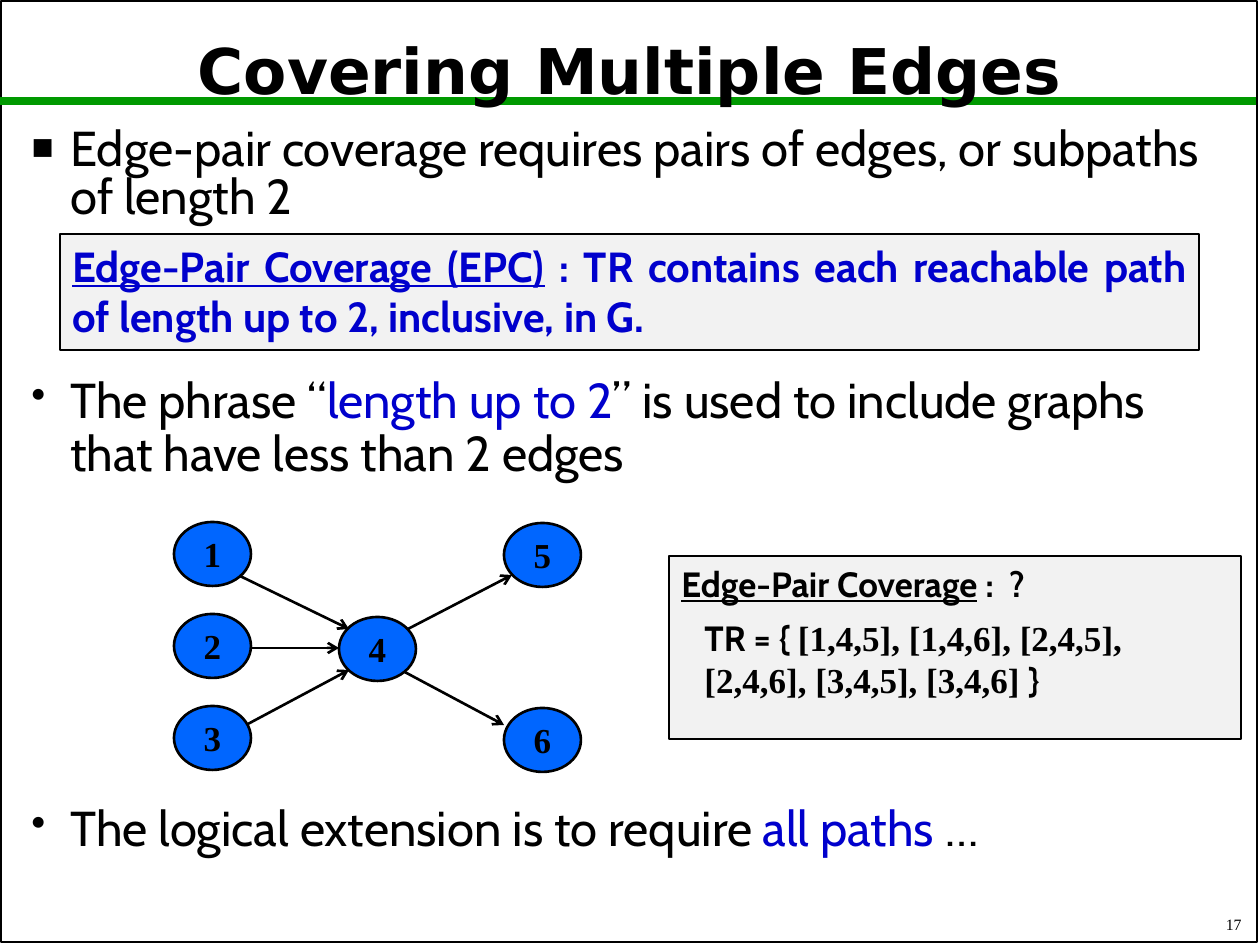
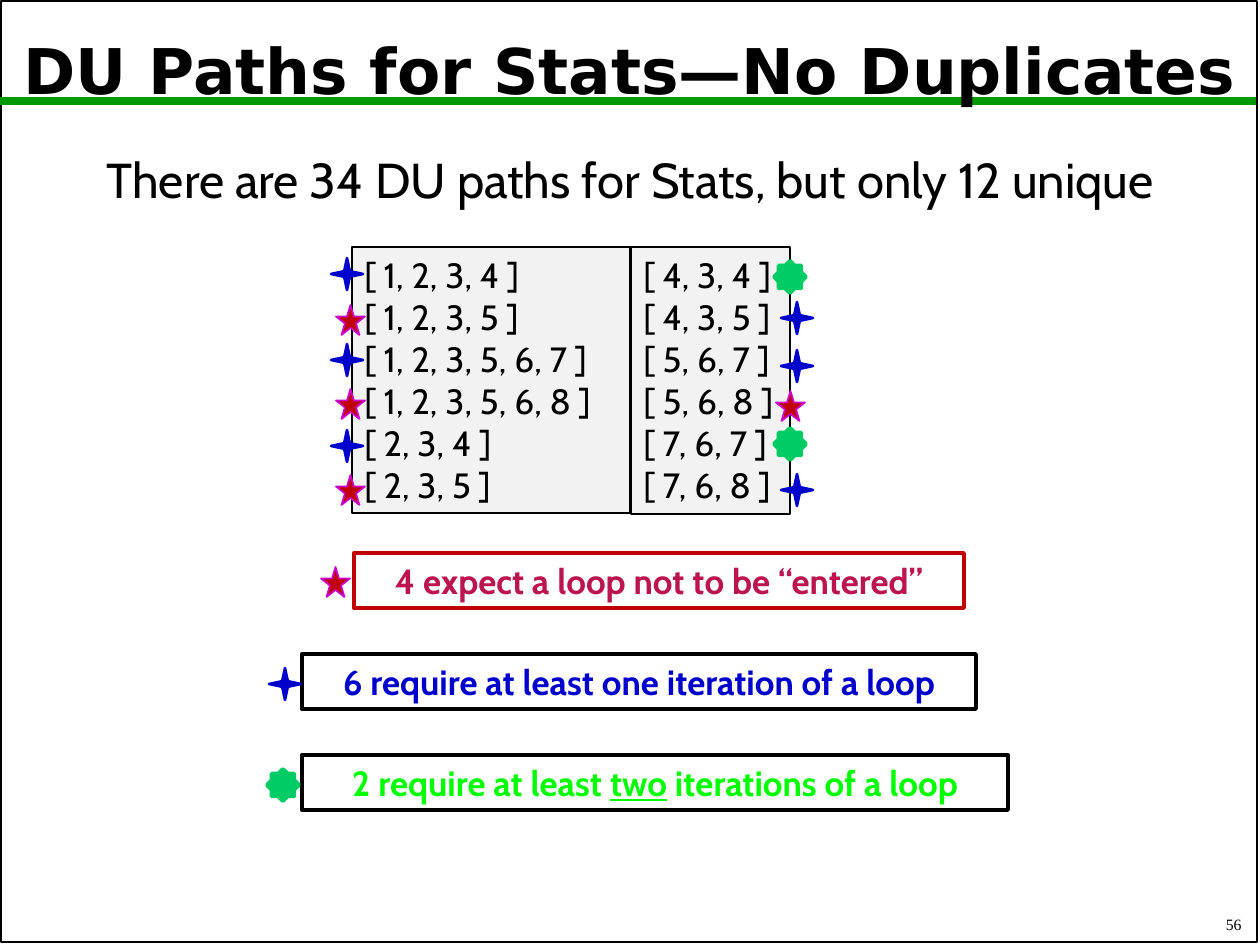
from lxml import etree
from pptx import Presentation
from pptx import util as u
from pptx.dml.color import RGBColor
from pptx.enum import shapes, text
from pptx.oxml.ns import qn

SCALE = 914400 / 126
BLACK, WHITE, PALE = "000000", "FFFFFF", "F2F2F2"
BLUE, GREEN, RED = "0000CC", "009900", "C00000"
TITLE_FONT, BODY_FONT, NUMBER_FONT = "DejaVu Sans", "Cabin", "Times New Roman"
LEFT, CENTER = text.PP_ALIGN.LEFT, text.PP_ALIGN.CENTER
RIGHT, JUSTIFY = text.PP_ALIGN.RIGHT, text.PP_ALIGN.JUSTIFY
TOP, MIDDLE, BOTTOM = text.MSO_ANCHOR.TOP, text.MSO_ANCHOR.MIDDLE, text.MSO_ANCHOR.BOTTOM
RECT, OVAL = shapes.MSO_SHAPE.RECTANGLE, shapes.MSO_SHAPE.OVAL

MARKS = {
    "skip": (shapes.MSO_SHAPE.STAR_5_POINT, 29, 30, RED, "CC00CC", 1),
    "once": (shapes.MSO_SHAPE.STAR_4_POINT, 32, 32, BLUE, BLUE, 1.5),
    "twice": (shapes.MSO_SHAPE.STAR_8_POINT, 32, 32, "00CC66", "00CC66", 2.25),
}
MARK_ADJUSTMENTS = {"once": 0.125, "twice": 0.383}


def px(length):
    return u.Emu(round(length * SCALE))


def color(value):
    return RGBColor.from_string(value)


def place(shape, box):
    shape.left, shape.top, shape.width, shape.height = map(px, box)


def write(shape, paragraphs, size, font=BODY_FONT, ink=BLACK, bold=False,
          align=LEFT, anchor=TOP, spacing=1.0, wrap=True):
    frame = shape.text_frame
    frame.auto_size = text.MSO_AUTO_SIZE.NONE
    frame.word_wrap = wrap
    frame.vertical_anchor = anchor
    for index, spans in enumerate(paragraphs):
        para = frame.paragraphs[0] if index == 0 else frame.add_paragraph()
        para.alignment = align
        para.line_spacing = spacing
        para.space_before = u.Pt(0)
        for words, changes in spans:
            span = para.add_run()
            span.text = words
            span.font.size = u.Pt(size)
            span.font.bold = bold
            span.font.name = changes.get("font", font)
            span.font.underline = changes.get("underline", False)
            span.font.color.rgb = color(changes.get("ink", ink))


def plain(words):
    return [(words, {})]


def add_text(page, box, paragraphs, size, **style):
    shape = page.shapes.add_textbox(*map(px, box))
    write(shape, paragraphs, size, **style)
    return shape


def add_figure(page, kind, box, fill, line, weight):
    shape = page.shapes.add_shape(kind, *map(px, box))
    shape.shadow.inherit = False
    if fill:
        shape.fill.solid()
        shape.fill.fore_color.rgb = color(fill)
    else:
        shape.fill.background()
    shape.line.color.rgb = color(line)
    shape.line.width = u.Pt(weight)
    return shape


def add_line(page, start, end, ink, weight, arrow=False):
    line = page.shapes.add_connector(
        shapes.MSO_CONNECTOR.STRAIGHT, *map(px, (*start, *end)))
    line.line.color.rgb = color(ink)
    line.line.width = u.Pt(weight)
    if arrow:
        etree.SubElement(line.line._get_or_add_ln(), qn("a:tailEnd"), type="arrow")
    etree.SubElement(line._element.spPr, qn("a:effectLst"))


def set_bullet(para, symbol=None, percent=85):
    props = para._p.get_or_add_pPr()
    props.set("marL", str(px(39)))
    props.set("indent", str(-px(39)))
    if symbol:
        etree.SubElement(props, qn("a:buSzPct"), val=str(percent * 1000))
        etree.SubElement(props, qn("a:buChar"), char=symbol)
    else:
        etree.SubElement(props, qn("a:buNone"))


def add_page(deck, title, number):
    page = deck.slides.add_slide(deck.slide_layouts[1])
    add_figure(page, RECT, (1, 1, 1256, 941), None, BLACK, 1)
    add_line(page, (0, 101), (1256, 101), GREEN, 4.5)
    add_text(page, (992, 903, 262, 37), [plain(number)], 9,
             font=NUMBER_FONT, align=RIGHT, anchor=BOTTOM)
    heading = page.shapes.title
    place(heading, (6, 14, 1247, 120))
    write(heading, [plain(title)], 36, font=TITLE_FONT, bold=True,
          align=CENTER, anchor=MIDDLE, spacing=0.9)
    tree = page.shapes._spTree
    for holder in list(page.placeholders):
        tree.append(holder._element)
    return page


def fill_body(page, box, words, symbol=None, **style):
    body = page.placeholders[1]
    place(body, box)
    set_bullet(body.text_frame.paragraphs[0], symbol, 75)
    write(body, [plain(words)], 28, **style)


def add_point(page, top, height, spans):
    point = page.shapes.add_textbox(*map(px, (19, top, 1222, height)))
    set_bullet(point.text_frame.paragraphs[0], "•")
    write(point, [spans], 28, spacing=0.9)


def draw_graph(page, left, top):
    nodes = {"1": (0, 0), "2": (0, 92), "3": (0, 184),
             "4": (165, 95), "5": (330, 1), "6": (330, 186)}
    edges = [((64, 53), (175, 107)), ((77, 126), (165, 126)),
             ((72, 203), (175, 148)), ((234, 107), (338, 53)),
             ((227, 148), (330, 203))]
    for start, end in edges:
        add_line(page, (left + start[0], top + start[1]),
                 (left + end[0], top + end[1]), BLACK, 1.5, arrow=True)
    for label, (x, y) in nodes.items():
        node = add_figure(page, OVAL, (left + x, top + y, 77, 64),
                          "0066FF", BLACK, 1.5)
        write(node, [plain(label)], 20, font=NUMBER_FONT, bold=True,
              align=CENTER, anchor=MIDDLE, wrap=False)


def draw_answer(page, left, top):
    panel = add_figure(page, RECT, (left, top, 572, 183), PALE, BLACK, 1)
    write(panel, [[("Edge-Pair Coverage", {"underline": True}), (" :  ?", {})]],
          20, bold=True)
    paths = "[1,4,5], [1,4,6], [2,4,5], [2,4,6], [3,4,5], [3,4,6] "
    add_text(page, (left + 23, top + 54, 508, 97),
             [[("TR = { ", {}), (paths, {"font": NUMBER_FONT}), ("}", {})]],
             20, bold=True)


def build_edges_page(deck):
    page = add_page(deck, "Covering Multiple Edges", "17")
    fill_body(page, (19, 123, 1222, 92),
              "Edge-pair coverage requires pairs of edges, or subpaths of length 2",
              "■", spacing=0.8)
    definition = add_figure(page, RECT, (60, 234, 1139, 116), PALE, BLACK, 1.5)
    write(definition, [[
        ("Edge-Pair Coverage (EPC)", {"underline": True}),
        (" : TR contains each reachable path of length up to 2, inclusive, in G.", {}),
    ]], 24, ink=BLUE, bold=True, align=JUSTIFY)
    add_point(page, 370, 105, [
        ("The phrase “", {}), ("length up to 2", {"ink": BLUE}),
        ("” is used to include graphs that have less than 2 edges", {})])
    add_point(page, 798, 60, [
        ("The logical extension is to require ", {}),
        ("all paths ", {"ink": BLUE}), ("…", {})])
    draw_graph(page, 174, 522)
    draw_answer(page, 669, 556)


def add_mark(page, name, left, top):
    kind, width, height, fill, line, weight = MARKS[name]
    mark = add_figure(page, kind, (left, top, width, height), fill, line, weight)
    if name in MARK_ADJUSTMENTS:
        mark.adjustments[0] = MARK_ADJUSTMENTS[name]


def draw_paths(page, box, rows, mark_lefts):
    left, top = box[:2]
    column = add_figure(page, RECT, box, PALE, BLACK, 1)
    write(column, [plain(path) for path, _, _ in rows], 20)
    for _, name, offset in rows:
        add_mark(page, name, left + mark_lefts[name], top + offset)


def draw_legend(page, top, step):
    entries = [
        ("skip", 354, 610, RED, "BC1450", -33,
         plain("4 expect a loop not to be “entered”")),
        ("once", 302, 674, BLACK, BLUE, -33,
         plain("6 require at least one iteration of a loop")),
        ("twice", 302, 706, BLACK, "00FF00", -35,
         [("2 require at least ", {}), ("two", {"underline": True}),
          (" iterations of a loop", {})]),
    ]
    for index, (name, left, width, line, ink, offset, spans) in enumerate(entries):
        y = top + index * step
        label = add_figure(page, RECT, (left, y, width, 55), WHITE, line, 2.25)
        write(label, [spans], 20, ink=ink, bold=True, align=CENTER)
        add_mark(page, name, left + offset, y + 14)


def build_stats_page(deck):
    page = add_page(deck, "DU Paths for Stats—No Duplicates", "56")
    fill_body(page, (19, 150, 1222, 81),
              "There are 34 DU paths for Stats, but only 12 unique",
              align=CENTER, spacing=0.9)
    draw_paths(page, (352, 247, 278, 266), [
        ("[ 1, 2, 3, 4 ]", "once", 11),
        ("[ 1, 2, 3, 5 ]", "skip", 58),
        ("[ 1, 2, 3, 5, 6, 7 ]", "once", 97),
        ("[ 1, 2, 3, 5, 6, 8 ]", "skip", 142),
        ("[ 2, 3, 4 ]", "once", 183),
        ("[ 2, 3, 5 ]", "skip", 228),
    ], {"once": -21, "skip": -16})
    draw_paths(page, (631, 247, 159, 267), [
        ("[ 4, 3, 4 ]", "twice", 14),
        ("[ 4, 3, 5 ]", "once", 55),
        ("[ 5, 6, 7 ]", "once", 103),
        ("[ 5, 6, 8 ]", "skip", 144),
        ("[ 7, 6, 7 ]", "twice", 181),
        ("[ 7, 6, 8 ]", "once", 227),
    ], {"once": 150, "skip": 145, "twice": 143})
    draw_legend(page, 553, 101)


def main():
    deck = Presentation()
    deck.slide_width, deck.slide_height = px(1260), px(945)
    build_edges_page(deck)
    build_stats_page(deck)
    deck.save("out.pptx")


if __name__ == "__main__":
    main()
